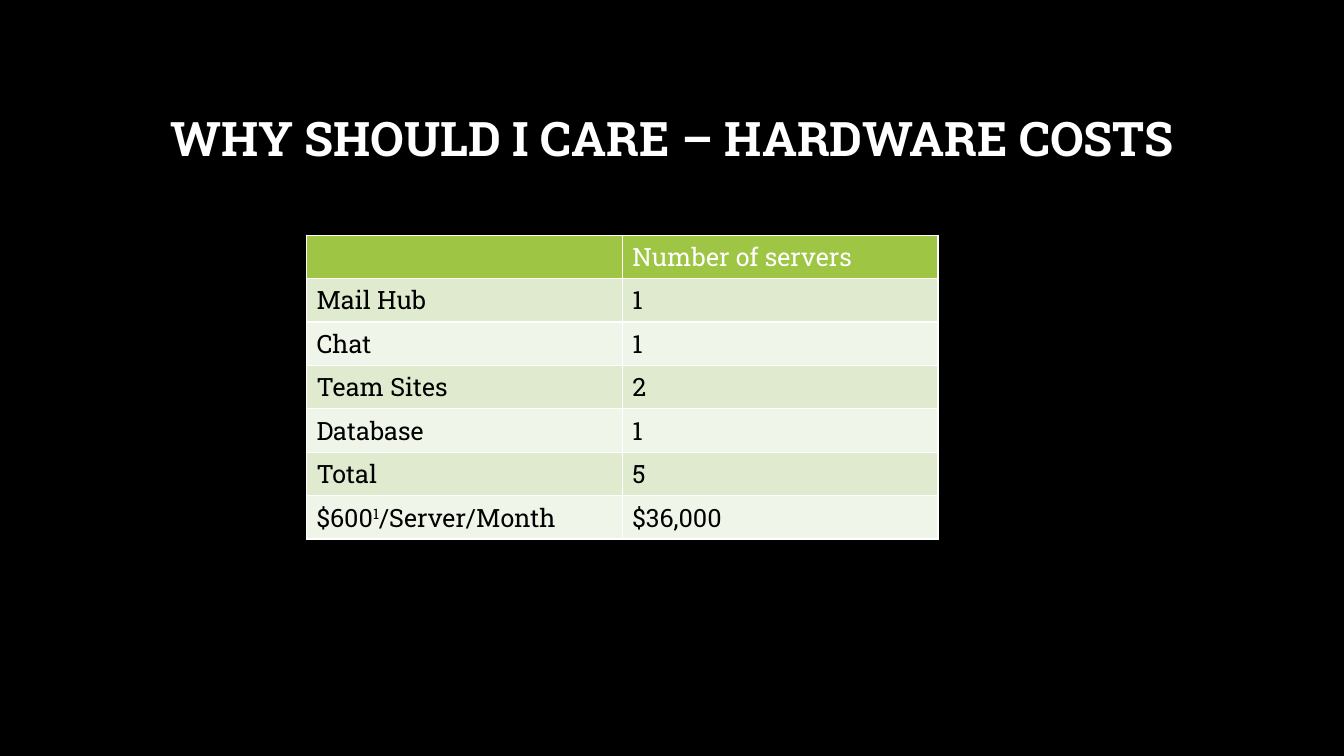
import dataclasses

import lxml.etree
import pptx
import pptx.dml.color
import pptx.enum.text
import pptx.oxml.ns
import pptx.util


@dataclasses.dataclass(frozen=True)
class Theme:
    font: str = "Roboto Slab"
    background: str = "000000"
    light: str = "FFFFFF"
    dark: str = "000000"
    header: str = "9EC544"
    bands: tuple = ("DFEACF", "F0F5E9")
    title_size: int = 34
    table_size: int = 18
    border_width: int = 1


THEME = Theme()
WIDTH = pptx.util.Inches(13.33)
HEIGHT = pptx.util.Inches(7.5)
TITLE_BOX = (0.075, 0.09, 0.85, 0.193)
TABLE_BOX = (0.228, 0.311, 0.47, 0.38)
SUPERSCRIPT = "30000"

SERVER_ROWS = [
    ("", "Number of servers"),
    ("Mail Hub", "1"),
    ("Chat", "1"),
    ("Team Sites", "2"),
    ("Database", "1"),
    ("Total", "5"),
    (("$600", "1", "/Server/Month"), "$36,000"),
]


def rgb(color):
    return pptx.dml.color.RGBColor.from_string(color)


def place(box):
    x, y, w, h = box
    return int(WIDTH * x), int(HEIGHT * y), int(WIDTH * w), int(HEIGHT * h)


def set_font(p, size, color, bold=False):
    p.font.name = THEME.font
    p.font.size = pptx.util.Pt(size)
    p.font.bold = bold
    p.font.color.rgb = rgb(color)


def add_title(slide, text):
    sp = slide.shapes.title
    sp.left, sp.top, sp.width, sp.height = place(TITLE_BOX)
    tf = sp.text_frame
    tf.text = text
    tf.word_wrap = True
    tf.vertical_anchor = pptx.enum.text.MSO_ANCHOR.MIDDLE
    p = tf.paragraphs[0]
    p.alignment = pptx.enum.text.PP_ALIGN.CENTER
    p.line_spacing = 0.9
    set_font(p, THEME.title_size, THEME.light, bold=True)


def set_borders(cell):
    tc_pr = cell._tc.get_or_add_tcPr()
    for index, side in enumerate(("lnL", "lnR", "lnT", "lnB")):
        ln = lxml.etree.Element(pptx.oxml.ns.qn(f"a:{side}"))
        ln.set("w", str(pptx.util.Pt(THEME.border_width)))
        fill = lxml.etree.SubElement(ln, pptx.oxml.ns.qn("a:solidFill"))
        color = lxml.etree.SubElement(fill, pptx.oxml.ns.qn("a:srgbClr"))
        color.set("val", THEME.light)
        tc_pr.insert(index, ln)


def fill_cell(cell, content, fill, color):
    cell.fill.solid()
    cell.fill.fore_color.rgb = rgb(fill)
    set_borders(cell)
    p = cell.text_frame.paragraphs[0]
    set_font(p, THEME.table_size, color)
    parts = (content,) if isinstance(content, str) else content
    for index, text in enumerate(parts):
        if text:
            r = p.add_run()
            r.text = text
            if index % 2:
                r._r.get_or_add_rPr().set("baseline", SUPERSCRIPT)


def add_server_table(slide, rows):
    frame = slide.shapes.add_table(len(rows), len(rows[0]), *place(TABLE_BOX))
    table = frame.table
    table.first_row = False
    table.horz_banding = False
    for i, row in enumerate(rows):
        fill = THEME.bands[(i - 1) % 2] if i else THEME.header
        color = THEME.dark if i else THEME.light
        for j, content in enumerate(row):
            fill_cell(table.cell(i, j), content, fill, color)


def main():
    prs = pptx.Presentation()
    prs.slide_width, prs.slide_height = WIDTH, HEIGHT
    slide = prs.slides.add_slide(prs.slide_layouts.get_by_name("Title Only"))
    slide.background.fill.solid()
    slide.background.fill.fore_color.rgb = rgb(THEME.background)
    add_title(slide, "WHY SHOULD I CARE – HARDWARE COSTS")
    add_server_table(slide, SERVER_ROWS)
    prs.save("out.pptx")


if __name__ == "__main__":
    main()
